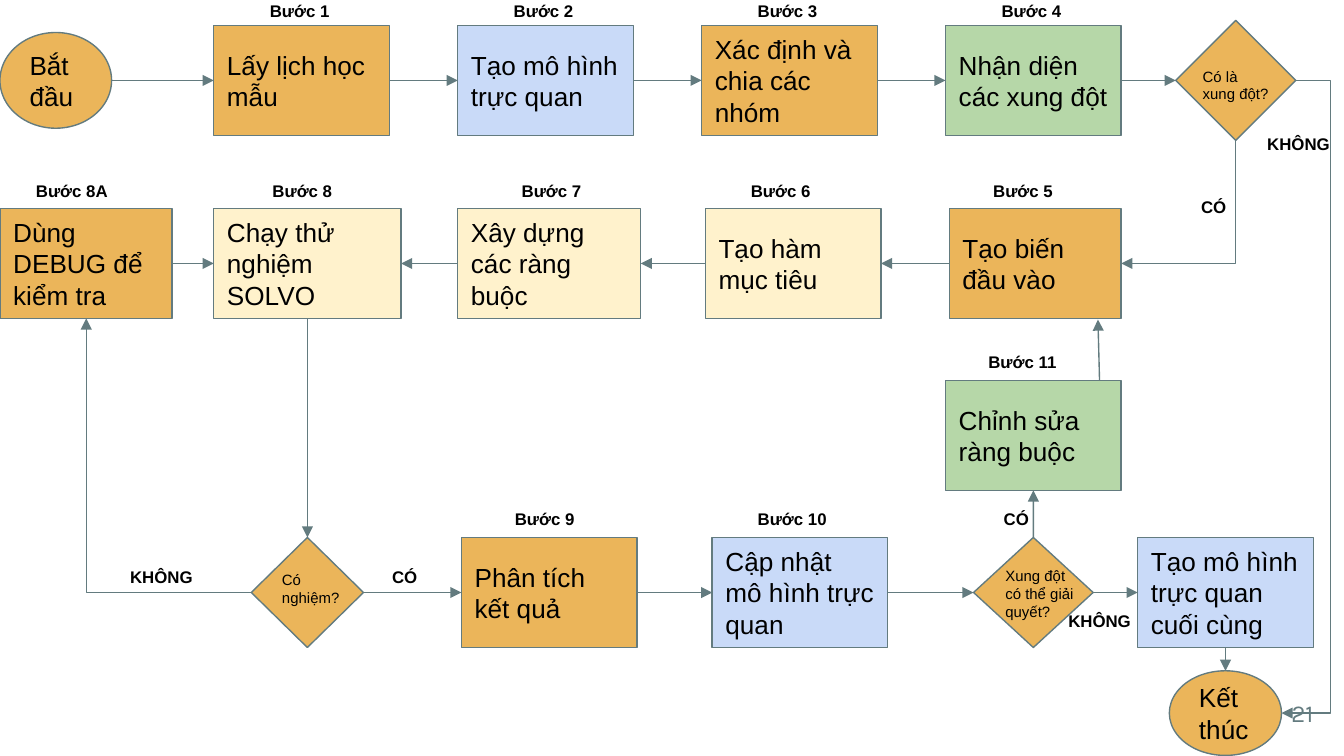
"""Build the scheduling process flowchart slide."""
import dataclasses

import pptx
import pptx.dml.color
import pptx.enum.shapes
import pptx.enum.text
import pptx.oxml
import pptx.oxml.ns
import pptx.util

Cm = pptx.util.Cm
Shapes = pptx.enum.shapes.MSO_SHAPE
Connectors = pptx.enum.shapes.MSO_CONNECTOR
Anchor = pptx.enum.text.MSO_ANCHOR
Align = pptx.enum.text.PP_ALIGN
TOP, LEFT, BOTTOM, RIGHT = range(4)


@dataclasses.dataclass(frozen=True)
class Theme:
    """Colours, fonts and type sizes of the flowchart."""
    amber: str = "EBB55A"
    blue: str = "C9DAF8"
    green: str = "B6D7A8"
    cream: str = "FFF2CC"
    slate: str = "637B7F"
    black: str = "000000"
    white: str = "FFFFFF"
    body_font: str = "Arial"
    number_font: str = "Karla"
    step_size: int = 14
    caption_size: int = 9
    question_size: int = 8
    number_size: int = 13
    line_width: float = 0.75


THEME = Theme()
STEP_WIDTH, STEP_HEIGHT = 3.32, 2.08
COLUMNS = [4.04 + 4.61 * column for column in range(4)]
PLAN, MODEL, REPAIR, REVIEW = 1.52, 4.98, 8.23, 11.2
CAPTION_LIFT = {PLAN: 1.7, MODEL: 1.75, REPAIR: 1.78, REVIEW: 1.78}

STEPS = {
    "1": ("Lấy lịch học mẫu", COLUMNS[0], PLAN, STEP_WIDTH, THEME.amber, 0.81),
    "2": ("Tạo mô hình trực quan", COLUMNS[1], PLAN, STEP_WIDTH, THEME.blue, 0.81),
    "3": ("Xác định và chia các nhóm", COLUMNS[2], PLAN, STEP_WIDTH, THEME.amber, 0.81),
    "4": ("Nhận diện các xung đột", COLUMNS[3], PLAN, STEP_WIDTH, THEME.green, 0.81),
    "5": ("Tạo biến đầu vào", 17.94, MODEL, 3.25, THEME.amber, 0.58),
    "6": ("Tạo hàm mục tiêu", 13.33, MODEL, STEP_WIDTH, THEME.cream, 0.61),
    "7": ("Xây dựng các ràng buộc", COLUMNS[1], MODEL, 3.46, THEME.cream, 0.96),
    "8": ("Chạy thử nghiệm SOLVO", COLUMNS[0], MODEL, 3.54, THEME.cream, 0.86),
    "8A": ("Dùng DEBUG để kiểm tra", 0, MODEL, 3.25, THEME.amber, 0.43),
    "9": ("Phân tích kết quả", 8.72, REVIEW, STEP_WIDTH, THEME.amber, 0.76),
    "10": ("Cập nhật mô hình trực quan", 13.46, REVIEW, STEP_WIDTH, THEME.blue, 0.61),
    "11": ("Chỉnh sửa ràng buộc", COLUMNS[3], REPAIR, STEP_WIDTH, THEME.green, 0.56),
}
DECISIONS = {
    "conflict": ((22.22, PLAN, 2.27, 2.27), "Có là xung đột?", (22.48, 1.02, 1.78, 0.69)),
    "solution": ((4.75, REVIEW, 2.12, 2.08), "Có nghiệm?", (5.08, 10.54, 1.64, 0.69)),
    "solvable": ((18.4, REVIEW, 2.26, 2.08), "Xung đột có thể giải quyết?",
                 (18.75, 10.46, 1.88, 1.5)),
}
LINKS = [
    ("1", RIGHT, "2", LEFT), ("2", RIGHT, "3", LEFT), ("3", RIGHT, "4", LEFT),
    ("4", RIGHT, "conflict", LEFT), ("8A", RIGHT, "8", LEFT),
    ("7", LEFT, "8", RIGHT), ("6", LEFT, "7", RIGHT), ("5", LEFT, "6", RIGHT),
    ("final", BOTTOM, "end", TOP), ("solvable", RIGHT, "final", LEFT),
    ("9", RIGHT, "10", LEFT), ("10", RIGHT, "solvable", LEFT),
    ("solvable", TOP, "11", BOTTOM), ("8", BOTTOM, "solution", TOP),
    ("solution", RIGHT, "9", LEFT),
]
ANSWERS = [
    ("CÓ", 22.45, 3.53), ("KHÔNG", 23.7, 2.34), ("CÓ", 7.16, 10.52),
    ("KHÔNG", 2.21, 10.52), ("CÓ", 18.72, 9.42), ("KHÔNG", 19.94, 11.35),
]


def assign(target, values):
    """Set each named attribute of the target."""
    for name, value in values.items():
        setattr(target, name, value)


def rgb(code):
    """Turn a hex code into a colour."""
    return pptx.dml.color.RGBColor.from_string(code)


def write(shape, text, size, bold=False, anchor=Anchor.TOP, align=Align.LEFT,
          font=THEME.body_font, color=THEME.black):
    """Put formatted text into a shape."""
    frame = shape.text_frame
    margins = {f"margin_{side}": Cm(0.25) for side in ("left", "top", "right", "bottom")}
    assign(frame, {"word_wrap": True, "vertical_anchor": anchor, **margins})
    paragraph = frame.paragraphs[0]
    paragraph.text = text
    paragraph.alignment = align
    assign(paragraph.font, {"name": font, "size": pptx.util.Pt(size), "bold": bold})
    paragraph.font.color.rgb = rgb(color)


def add_label(slide, text, place, size, **style):
    """Add a text box at left, top, width, height."""
    write(slide.shapes.add_textbox(*map(Cm, place)), text, size, **style)


def outline(line):
    """Give a line the flowchart stroke."""
    line.color.rgb = rgb(THEME.slate)
    line.width = pptx.util.Pt(THEME.line_width)


def add_node(slide, kind, place, fill, text=""):
    """Add a shape at left, vertical centre, width, height."""
    left, middle, width, height = place
    node = slide.shapes.add_shape(
        kind, Cm(left), Cm(middle - height / 2), Cm(width), Cm(height))
    node.shadow.inherit = False
    node.fill.solid()
    node.fill.fore_color.rgb = rgb(fill)
    outline(node.line)
    if text:
        write(node, text, THEME.step_size, anchor=Anchor.MIDDLE)
    return node


def add_step(slide, number, step):
    """Add a process box with its step caption."""
    text, left, middle, width, fill, shift = step
    add_label(slide, f"Bước {number}",
              (left + shift, middle - CAPTION_LIFT[middle], 2.1, 0.58),
              THEME.caption_size, bold=True)
    return add_node(slide, Shapes.RECTANGLE, (left, middle, width, STEP_HEIGHT), fill, text)


def add_arrow(slide, start, end, kind=Connectors.STRAIGHT):
    """Add a connector with an arrowhead at its end."""
    arrow = slide.shapes.add_connector(kind, *map(Cm, (*start, *end)))
    outline(arrow.line)
    pptx.oxml.ns.qn("a:ln")
    stroke = arrow.line._get_or_add_ln()
    stroke.append(pptx.oxml.parse_xml(
        f'<a:tailEnd {pptx.oxml.ns.nsdecls("a")} type="triangle"/>'))
    arrow._element.spPr.append(pptx.oxml.parse_xml(
        f'<a:effectLst {pptx.oxml.ns.nsdecls("a")}/>'))
    return arrow


def add_corner(slide, start, end, rotation):
    """Add a one-bend arrow, rotated 90 or 180 degrees."""
    center = [(a + b) / 2 for a, b in zip(start, end)]
    half = [abs(a - b) / 2 for a, b in zip(start, end)]
    if rotation == 90:
        half.reverse()
    near = [c - h for c, h in zip(center, half)]
    far = [c + h for c, h in zip(center, half)]
    properties = add_arrow(slide, near, far, Connectors.ELBOW)._element.spPr
    properties.find(pptx.oxml.ns.qn("a:xfrm")).set("rot", str(rotation * 60000))
    properties.find(pptx.oxml.ns.qn("a:prstGeom")).set("prst", "bentConnector2")


def add_detour(slide, start, end, lane):
    """Add a two-bend arrow that runs along a vertical lane."""
    arrow = add_arrow(slide, start, end, Connectors.ELBOW)
    share = round((lane - start[0]) / (end[0] - start[0]) * 100000)
    geometry = arrow._element.spPr.find(pptx.oxml.ns.qn("a:prstGeom"))
    geometry.find(pptx.oxml.ns.qn("a:avLst")).append(pptx.oxml.parse_xml(
        f'<a:gd {pptx.oxml.ns.nsdecls("a")} name="adj1" fmla="val {share}"/>'))


def main():
    """Lay out the nodes, arrows and labels and save the deck."""
    deck = pptx.Presentation()
    assign(deck, {"slide_width": Cm(25.4), "slide_height": Cm(14.29)})
    slide = deck.slides.add_slide(deck.slide_layouts[6])
    slide.background.fill.solid()
    slide.background.fill.fore_color.rgb = rgb(THEME.white)

    add_node(slide, Shapes.OVAL, (0, PLAN, 2.11, 1.81), THEME.amber, "Bắt đầu")
    nodes = {
        "final": add_node(slide, Shapes.RECTANGLE, (21.5, REVIEW, STEP_WIDTH, STEP_HEIGHT),
                          THEME.blue, "Tạo mô hình trực quan cuối cùng"),
        "end": add_node(slide, Shapes.OVAL, (22.1, 13.48, 2.12, 1.6), THEME.amber, "Kết thúc"),
    }
    for name, (place, question, text_place) in DECISIONS.items():
        nodes[name] = add_node(slide, Shapes.DIAMOND, place, THEME.amber)
        add_label(slide, question, text_place, THEME.question_size)
    for number, step in STEPS.items():
        nodes[number] = add_step(slide, number, step)

    add_arrow(slide, (2.11, PLAN), (COLUMNS[0], PLAN)).end_connect(nodes["1"], LEFT)
    for source, source_side, target, target_side in LINKS:
        arrow = add_arrow(slide, (0, 0), (1, 1))
        arrow.begin_connect(nodes[source], source_side)
        arrow.end_connect(nodes[target], target_side)
    add_arrow(slide, (20.78, 7.19), (20.75, 6.04))
    add_corner(slide, (23.35, 2.65), (21.19, MODEL), 90)
    add_corner(slide, (4.75, REVIEW), (1.63, 6.02), 180)
    add_detour(slide, (24.49, PLAN), (24.22, 13.48), 25.15)

    for answer, left, top in ANSWERS:
        width = 1.22 if answer == "CÓ" else 1.93
        add_label(slide, answer, (left, top, width, 0.58), THEME.caption_size, bold=True)
    add_label(slide, "21", (23.55, 12.95, 1.52, 1.09), THEME.number_size,
              align=Align.RIGHT, font=THEME.number_font, color=THEME.slate)
    deck.save("out.pptx")


if __name__ == "__main__":
    main()
